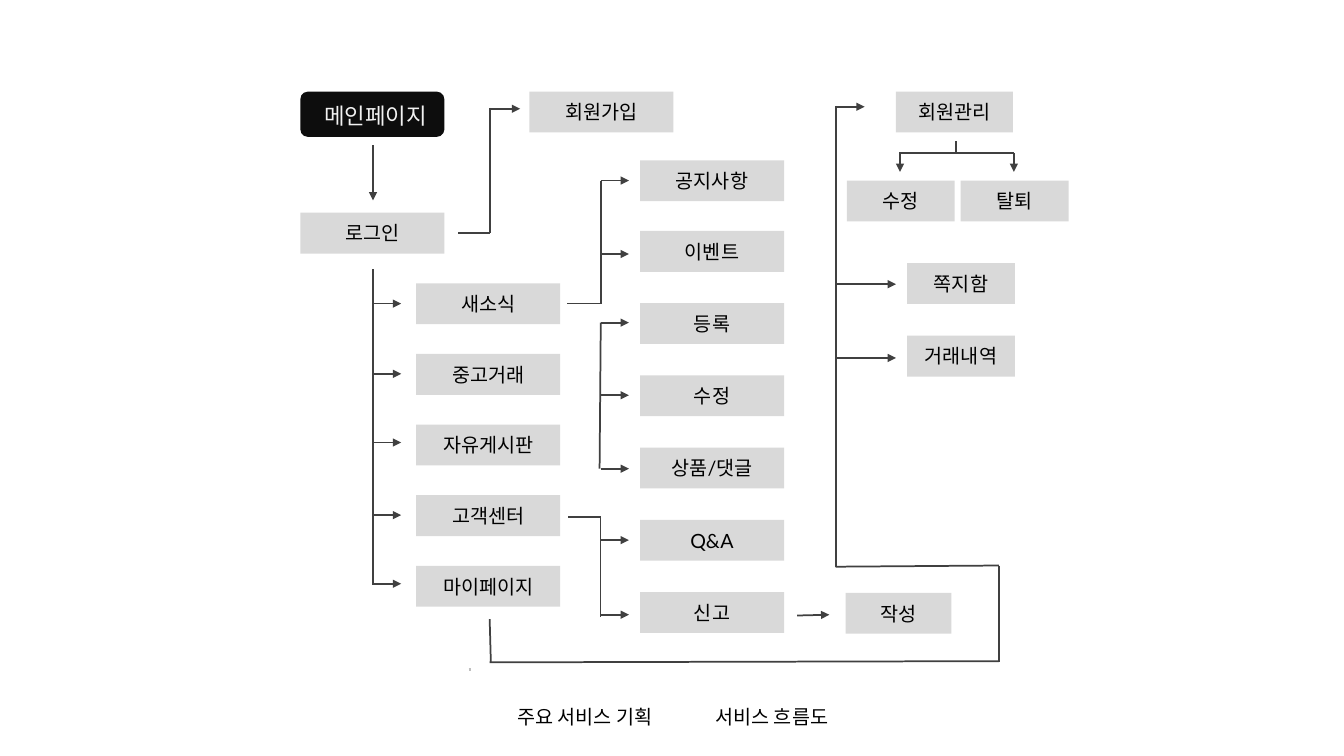
import pptx
import pptx.util
import pptx.dml.color
import pptx.enum.shapes
import pptx.enum.text
import lxml.etree
from pptx.oxml.ns import qn

Cm, Pt = pptx.util.Cm, pptx.util.Pt
Shape = pptx.enum.shapes.MSO_SHAPE
Align = pptx.enum.text.PP_ALIGN


def color(code):
    return pptx.dml.color.RGBColor.from_string(code)


class Chart:
    gray, dark, black = "D9D9D9", "404040", "000000"
    font, size, weight = "Lato", 14, 1.25
    wide, high = 3.63, 1.03

    def __init__(self, slide):
        self.shapes = slide.shapes

    def style(self, para, font, size, ink):
        for run in para.runs:
            run.font.name = font
            run.font.size = Pt(size)
            run.font.color.rgb = color(ink)

    def box(self, text, x, y, w=wide, h=high, kind=Shape.RECTANGLE, fill=gray):
        box = self.shapes.add_shape(kind, Cm(x), Cm(y), Cm(w), Cm(h))
        box.shadow.inherit = False
        box.fill.solid()
        box.fill.fore_color.rgb = color(fill)
        box.line.fill.background()
        if text:
            frame = box.text_frame
            frame.text = text
            frame.vertical_anchor = pptx.enum.text.MSO_ANCHOR.MIDDLE
            frame.paragraphs[0].alignment = Align.CENTER
            self.style(frame.paragraphs[0], self.font, self.size, self.black)

    def label(self, text, x, y, w, h, font, size, ink, left=0.25, tab=None):
        frame = self.shapes.add_textbox(Cm(x), Cm(y), Cm(w), Cm(h)).text_frame
        frame.word_wrap = True
        frame.margin_left = Cm(left)
        frame.text = text
        para = frame.paragraphs[0]
        if tab:
            tabs = lxml.etree.SubElement(para._p.get_or_add_pPr(), qn("a:tabLst"))
            lxml.etree.SubElement(tabs, qn("a:tab"), pos=str(Cm(tab)), algn="l")
        self.style(para, font, size, ink)

    def line(self, x1, y1, x2, y2, head=False, ink=dark, weight=weight):
        line = self.shapes.add_connector(
            pptx.enum.shapes.MSO_CONNECTOR.STRAIGHT, Cm(x1), Cm(y1), Cm(x2), Cm(y2))
        line.line.color.rgb = color(ink)
        line.line.width = Pt(weight)
        if head:
            lxml.etree.SubElement(line.line._get_or_add_ln(), qn("a:tailEnd"), type="triangle")
        lxml.etree.SubElement(line._element.spPr, qn("a:effectLst"))

    def arrows(self, x1, x2, rows):
        for y in rows:
            self.line(x1, y, x2, y, head=True)


def main():
    deck = pptx.Presentation()
    deck.slide_width, deck.slide_height = Cm(33.87), Cm(19.05)
    chart = Chart(deck.slides.add_slide(deck.slide_layouts[6]))

    # Main page, login and sign-up
    chart.box("", 7.57, 2.31, h=1.14, kind=Shape.ROUNDED_RECTANGLE, fill="0D0D0D")
    chart.label("메인페이지", 7.92, 2.46, 3.43, 0.94, "Arial", 16, "F2F2F2")
    chart.box("로그인", 7.57, 5.36)
    chart.box("회원가입", 13.34, 2.31)

    # Menu column
    menu = ["새소식", "중고거래", "자유게시판", "고객센터", "마이페이지"]
    for i, name in enumerate(menu):
        chart.box(name, 10.49, 7.14 + 1.78 * i)

    # Page column
    chart.box("공지사항", 16.13, 4.04)
    pages = ["이벤트", "등록", "수정", "상품/댓글", "Q&A", "신고"]
    for i, name in enumerate(pages):
        chart.box(name, 16.13, 5.82 + 1.82 * i)

    # Member pages
    chart.box("작성", 21.31, 14.94, 2.67)
    chart.box("회원관리", 22.58, 2.31, 2.95)
    for name, x, y in [("수정", 21.34, 4.55), ("탈퇴", 24.21, 4.55),
                       ("쪽지함", 22.86, 6.63), ("거래내역", 22.86, 8.46)]:
        chart.box(name, x, y, 2.72)

    # Arrows
    chart.line(9.4, 3.66, 9.4, 5.05, head=True)
    chart.arrows(9.4, 10.11, [7.65, 9.42, 11.15, 12.98, 14.71])
    chart.arrows(12.37, 13.11, [2.74])
    chart.arrows(15.14, 15.85, [4.55, 6.4, 8.13, 9.96, 11.81, 13.61, 15.49])
    chart.arrows(21.06, 21.79, [2.69])
    chart.arrows(21.06, 22.58, [7.16, 9.02])
    chart.line(20.09, 15.51, 20.9, 15.49, head=True)
    for x in (22.68, 25.55):
        chart.line(x, 3.86, x, 4.33, head=True)

    # Trunks, stubs and the long loop from my page to the member pages
    for ends in [(9.4, 6.78, 9.4, 14.73),
                 (12.34, 2.72, 12.34, 5.87), (12.34, 5.87, 11.53, 5.87),
                 (15.14, 4.55, 15.14, 7.66), (15.13, 7.65, 14.3, 7.65),
                 (15.14, 8.13, 15.11, 11.81),
                 (15.13, 13.01, 15.13, 15.54), (15.14, 13.02, 14.32, 13.02),
                 (24.1, 3.56, 24.1, 3.86), (25.55, 3.86, 22.66, 3.86),
                 (12.34, 15.6, 12.37, 16.69), (12.34, 16.69, 25.17, 16.66),
                 (25.17, 14.25, 25.17, 16.68), (21.06, 14.28, 25.17, 14.25),
                 (21.06, 2.67, 21.06, 14.29)]:
        chart.line(*ends)
    chart.line(11.81, 16.87, 11.86, 16.87, ink="BFBFBF", weight=1.5)

    # Caption
    chart.label("주요 서비스 기획\t서비스 흐름도", 12.09, 17.65, 9.78, 0.86,
                "Calibri", 14, chart.black, left=0.94, tab=5)

    deck.save("out.pptx")


if __name__ == "__main__":
    main()
